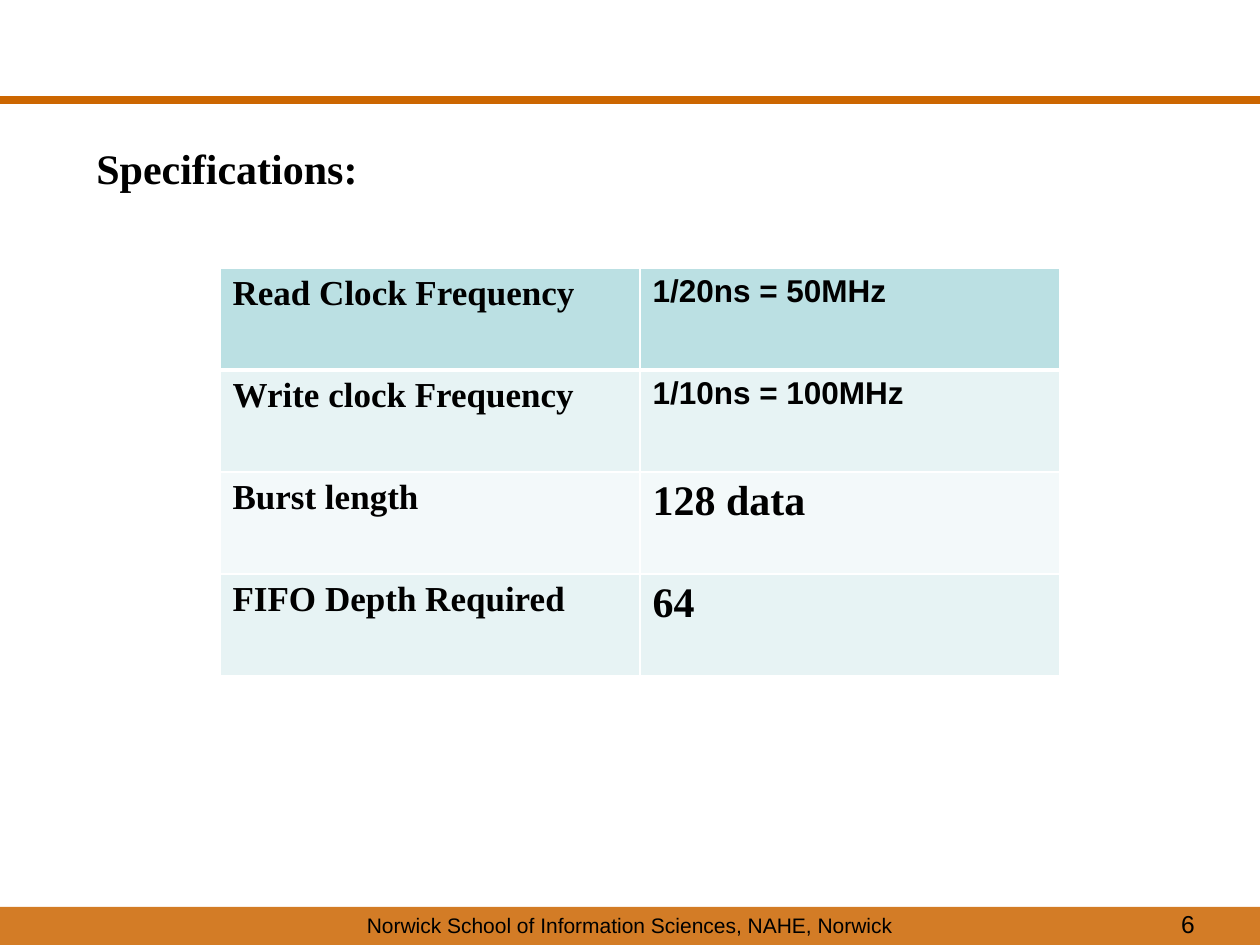
import pptx
import pptx.dml.color
import pptx.enum.shapes
import pptx.enum.text
import pptx.oxml
import pptx.oxml.ns
import pptx.util
import dataclasses


@dataclasses.dataclass(frozen=True)
class Theme:
    """Colours, fonts and type sizes of the slide."""
    accent: str = "CC6600"
    ink: str = "000000"
    grid: str = "FFFFFF"
    header: str = "BBE0E3"
    bands: tuple = ("E7F3F4", "F3F9FA")
    serif: str = "Times New Roman"
    sans: str = "Arial"
    heading: int = 24
    label: int = 20
    formula: int = 18
    page: int = 14
    footer: int = 12


THEME = Theme()
ALIGN = pptx.enum.text.PP_ALIGN
SPECIFICATIONS = [
    ("Read Clock Frequency", "1/20ns = 50MHz", THEME.sans, THEME.formula),
    ("Write clock Frequency", "1/10ns = 100MHz", THEME.sans, THEME.formula),
    ("Burst length", "128 data", THEME.serif, THEME.heading),
    ("FIFO Depth Required", "64", THEME.serif, THEME.heading),
]


def px(length):
    """Turn px into EMU at 126 px to the inch."""
    return pptx.util.Emu(round(length * 914400 / 126))


def rgb(colour):
    """Return the colour object of a hex string."""
    return pptx.dml.color.RGBColor.from_string(colour)


def add_run(paragraph, words, font, size, bold=False):
    """Append one styled run to a paragraph."""
    run = paragraph.add_run()
    run.text = words
    run.font.name = font
    run.font.size = pptx.util.Pt(size)
    run.font.bold = bold
    run.font.color.rgb = rgb(THEME.ink)


def add_label(slide, box, words, font, size, align=ALIGN.LEFT, bold=False):
    """Place one line of text in a box."""
    frame = slide.shapes.add_textbox(*map(px, box)).text_frame
    frame.word_wrap = True
    paragraph = frame.paragraphs[0]
    paragraph.alignment = align
    add_run(paragraph, words, font, size, bold)


def add_header_rule(slide, box):
    """Draw the rule along the top of the box."""
    left, top, width, _ = box
    rule = slide.shapes.add_connector(
        pptx.enum.shapes.MSO_CONNECTOR.STRAIGHT,
        px(left), px(top), px(left + width), px(top))
    rule.line.color.rgb = rgb(THEME.accent)
    rule.line.width = pptx.util.Pt(4.5)
    pptx.oxml.ns.qn("a:effectLst")
    rule.line._get_or_add_ln().addnext(
        pptx.oxml.parse_xml(f'<a:effectLst {pptx.oxml.ns.nsdecls("a")}/>'))


def add_footer(slide, box, school, page):
    """Draw the translucent footer band with school and page number."""
    left, top, width, height = box
    band = slide.shapes.add_shape(
        pptx.enum.shapes.MSO_SHAPE.RECTANGLE, *map(px, box))
    band.shadow.inherit = False
    band.line.fill.background()
    band.fill.solid()
    band.fill.fore_color.rgb = rgb(THEME.accent)
    colour = band.fill._xPr.find(".//" + pptx.oxml.ns.qn("a:srgbClr"))
    colour.append(pptx.oxml.parse_xml(
        f'<a:alpha {pptx.oxml.ns.nsdecls("a")} val="85000"/>'))
    add_label(slide, (left, top - 1, width, height), school,
              THEME.sans, THEME.footer, ALIGN.CENTER)
    add_label(slide, (left + width - 347, top - 4, 294, 42), page,
              THEME.sans, THEME.page, ALIGN.RIGHT)


def set_borders(cell, bottom):
    """Give a cell thin borders and a bottom border of its own width."""
    properties = cell._tc.get_or_add_tcPr()
    widths = {"lnL": 1, "lnR": 1, "lnT": 1, "lnB": bottom}
    for index, (side, width) in enumerate(widths.items()):
        properties.insert(index, pptx.oxml.parse_xml(
            f'<a:{side} {pptx.oxml.ns.nsdecls("a")} w="{pptx.util.Pt(width)}">'
            f'<a:solidFill><a:srgbClr val="{THEME.grid}"/></a:solidFill>'
            f'</a:{side}>'))


def add_specification_table(slide, box, specifications):
    """Fill the box with a two-column table of specifications."""
    width, height = box[2:]
    table = slide.shapes.add_table(
        len(specifications), 2, *map(px, box)).table
    for column in table.columns:
        column.width = px(width / 2)
    for index, (name, value, font, size) in enumerate(specifications):
        table.rows[index].height = px(height / len(specifications))
        fill = THEME.bands[(index - 1) % 2] if index else THEME.header
        styles = ((name, THEME.serif, THEME.label), (value, font, size))
        for cell, style in zip(table.rows[index].cells, styles):
            cell.fill.solid()
            cell.fill.fore_color.rgb = rgb(fill)
            set_borders(cell, 1 if index else 3)
            add_run(cell.text_frame.paragraphs[0], *style, bold=True)


def main():
    """Build the specifications slide."""
    deck = pptx.Presentation()
    deck.slide_width, deck.slide_height = px(1260), px(945)
    slide = deck.slides.add_slide(deck.slide_layouts[6])
    add_header_rule(slide, (0, 100, 1264, 0))
    add_footer(slide, (0, 907, 1260, 38),
               "Norwick School of Information Sciences, NAHE, Norwick", "6")
    add_specification_table(slide, (220, 268, 840, 408), SPECIFICATIONS)
    add_label(slide, (84, 136, 483, 63), "Specifications:",
              THEME.serif, THEME.heading, bold=True)
    deck.save("out.pptx")


if __name__ == "__main__":
    main()
